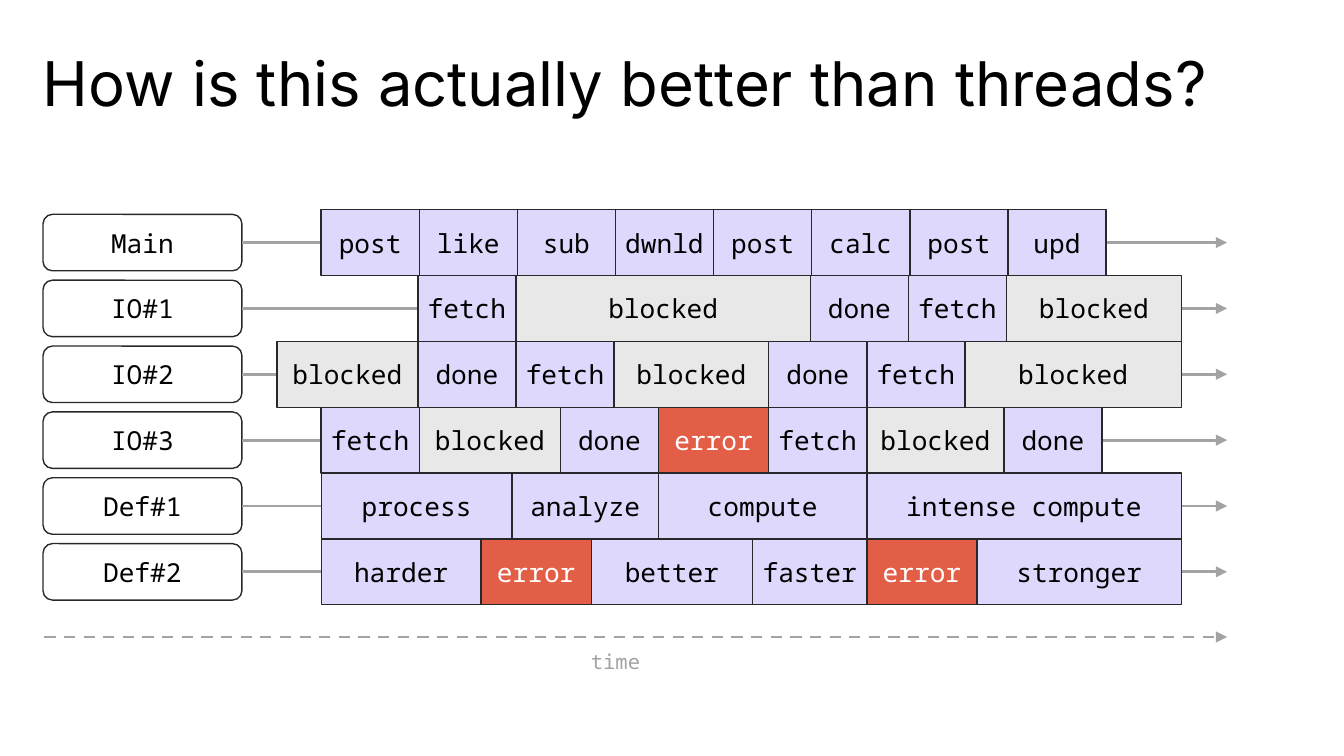
from lxml import etree
from pptx import Presentation, util as u
from pptx.dml.color import RGBColor
from pptx.enum import dml, shapes, text
from pptx.oxml.ns import qn

# Content: each lane has a name, a start, and blocks as (label, width)
HEAD = "How is this actually better than threads?"
AXIS = "time"
ONE = 0.73  # one time slot
ERR = 0.82
LANES = [
    ("Main", 2.39, [("post", ONE), ("like", ONE), ("sub", ONE), ("dwnld", ONE),
                    ("post", ONE), ("calc", ONE), ("post", ONE), ("upd", ONE)]),
    ("IO#1", 3.11, [("fetch", ONE), ("blocked", 3 * ONE), ("done", ONE),
                    ("fetch", ONE), ("blocked", 1.3)]),
    ("IO#2", 2.06, [("blocked", 1.05), ("done", ONE), ("fetch", ONE),
                    ("blocked", 1.15), ("done", ONE), ("fetch", ONE),
                    ("blocked", 1.61)]),
    ("IO#3", 2.39, [("fetch", ONE), ("blocked", 1.05), ("done", ONE),
                    ("error", ERR), ("fetch", ONE), ("blocked", 1.02),
                    ("done", ONE)]),
    ("Def#1", 2.39, [("process", 1.42), ("analyze", 1.09), ("compute", 1.55),
                     ("intense compute", 2.34)]),
    ("Def#2", 2.39, [("harder", 1.19), ("error", ERR), ("better", 1.2),
                     ("faster", 0.85), ("error", ERR), ("stronger", 1.52)]),
]

# Style
HUE = {"ink": "000000", "edge": "27282C", "grey": "A3A3A4", "white": "FFFFFF",
       "work": "DDD8FC", "blocked": "E8E8E8", "error": "E35E47"}
SANS, MONO = "Inter", "Noto Sans Mono"

# Grid
WIDE = 10
HIGH = WIDE * 9 / 16
LEFT, END = 0.32, 9.13
TOP, ROW = 1.56, 0.49
TAG_W, TAG_H = 1.48, 0.42
AXIS_Y = 4.74

deck = Presentation()
deck.slide_width, deck.slide_height = u.Inches(WIDE), u.Inches(HIGH)
slide = deck.slides.add_slide(deck.slide_layouts[6])
draw = slide.shapes


def tint(name):
    return RGBColor.from_string(HUE[name])


def write(words, box, kind=None, fill="white", size=14, font=MONO, ink="ink",
          side=0.04, align=text.PP_ALIGN.CENTER, gap=None):
    """Put text in a box: a preset shape if kind is given, else a text box."""
    place = [u.Inches(n) for n in box]
    if kind is None:
        item = draw.add_textbox(*place)
    else:
        item = draw.add_shape(kind, *place)
        item.shadow.inherit = False
        item.fill.solid()
        item.fill.fore_color.rgb = tint(fill)
        item.line.color.rgb = tint("edge")
        item.line.width = u.Pt(0.75)
    frame = item.text_frame
    frame.word_wrap = True
    frame.margin_left = frame.margin_right = u.Inches(side)
    frame.margin_top = frame.margin_bottom = u.Inches(0.1)
    frame.vertical_anchor = (text.MSO_ANCHOR.MIDDLE if kind
                             else text.MSO_ANCHOR.TOP)
    para = frame.paragraphs[0]
    para.alignment = align
    if gap:
        para.line_spacing = gap
    run = para.add_run()
    run.text = words
    run.font.name, run.font.size = font, u.Pt(size)
    run.font.color.rgb = tint(ink)
    return item


def arrow(left, y, dash=None, tag=None):
    """Draw a level arrow to the end of the time span."""
    line = draw.add_connector(shapes.MSO_CONNECTOR.STRAIGHT, u.Inches(left),
                              u.Inches(y), u.Inches(END), u.Inches(y))
    if tag is not None:
        line.begin_connect(tag, 3)
        line.end_y = line.begin_y
    line.line.color.rgb = tint("grey")
    line.line.width = u.Pt(1.5)
    if dash:
        line.line.dash_style = dash
    stroke = line.line._get_or_add_ln()
    etree.SubElement(stroke, qn("a:tailEnd"), type="triangle")
    etree.SubElement(line._element.spPr, qn("a:effectLst"))


# Title
write(HEAD, (LEFT, 0.32, 9.3, 0.5), size=33, font=SANS, side=0,
      align=text.PP_ALIGN.LEFT, gap=0.85)

# Lanes: name, arrow, then blocks laid end to end
for row, (name, start, blocks) in enumerate(LANES):
    top = TOP + row * ROW
    tag = write(name, (LEFT, top + (ROW - TAG_H) / 2, TAG_W, TAG_H),
                kind=shapes.MSO_SHAPE.ROUNDED_RECTANGLE, side=0.1)
    arrow(LEFT + TAG_W, top + ROW / 2, tag=tag)
    x = start
    for label, width in blocks:
        write(label, (x, top, width, ROW), kind=shapes.MSO_SHAPE.RECTANGLE,
              fill=label if label in HUE else "work",
              ink="white" if label == "error" else "ink")
        x += width

# Time axis
arrow(0.33, AXIS_Y, dash=dml.MSO_LINE.DASH)
write(AXIS, (4.26, AXIS_Y, 0.64, 0.39), size=11, ink="grey", side=0.1)

deck.save("out.pptx")
